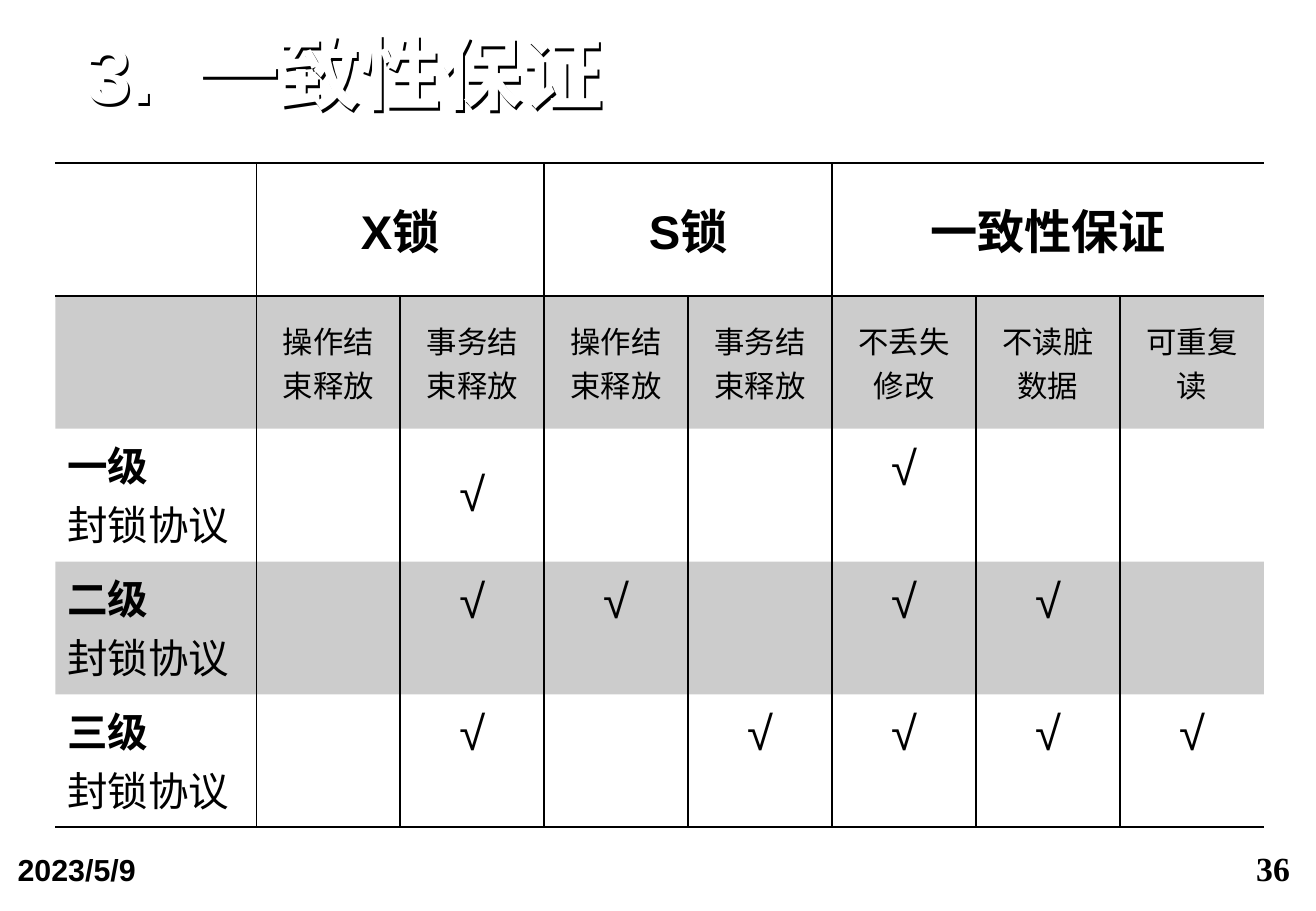
from lxml import etree
from pptx import Presentation
from pptx.dml.color import RGBColor
from pptx.enum.text import MSO_ANCHOR as ANCHOR, MSO_AUTO_SIZE as AUTO, PP_ALIGN as ALIGN
from pptx.oxml.ns import qn
from pptx.util import Pt

COLORS = {"ink": "000000", "title": "FFFFFF"}
ROW_HEIGHT = 78.77
COL_WIDTHS = [119.1] + [85.33] * 7
GROUPS = [("X锁", 1, 2), ("S锁", 3, 4), ("一致性保证", 5, 7)]
SUBHEADS = ["操作结束释放", "事务结束释放", "操作结束释放", "事务结束释放",
            "不丢失修改", "不读脏数据", "可重复读"]
LEVELS = [("一级", [2, 5]), ("二级", [2, 3, 5, 6]), ("三级", [2, 4, 5, 6, 7])]


def add_run(p, text, size=18, font="Arial", color="ink", bold=False):
    r = p.add_run()
    r.text = text
    r.font.size = Pt(size)
    r.font.name = font
    r.font.bold = bold
    r.font.color.rgb = RGBColor.from_string(COLORS[color])
    return r


def add_shadow(sp):
    sp.fill.background()
    sp.shadow.inherit = False
    effects = sp._element.spPr.find(qn("a:effectLst"))
    shadow = etree.SubElement(effects, qn("a:outerShdw"), dist=str(Pt(2)),
                              dir="2700000", algn="ctr", rotWithShape="0")
    etree.SubElement(shadow, qn("a:srgbClr"), val=COLORS["ink"])


def add_title(s):
    sp = s.shapes.title
    sp.left, sp.top, sp.width, sp.height = Pt(51.1), Pt(20.2), Pt(694.8), Pt(51.8)
    add_shadow(sp)
    tf = sp.text_frame
    tf.margin_left = tf.margin_right = tf.margin_top = tf.margin_bottom = 0
    tf.vertical_anchor = ANCHOR.BOTTOM
    tf.auto_size = AUTO.SHAPE_TO_FIT_TEXT
    p = tf.paragraphs[0]
    p.alignment = ALIGN.LEFT
    p.line_spacing = 0.9
    for text, spacing in [("3.", 0), (" ", 1300), ("一致性保证", 0)]:
        r = add_run(p, text, size=48, color="title", bold=True)
        r.font._element.set("spc", str(spacing))


def add_footer(s, text, left, top, width, height, align, **fmt):
    sp = s.shapes.add_textbox(Pt(left), Pt(top), Pt(width), Pt(height))
    tf = sp.text_frame
    tf.word_wrap = True
    tf.margin_left = tf.margin_right = Pt(9.4)
    tf.margin_top = tf.margin_bottom = Pt(4.3)
    p = tf.paragraphs[0]
    p.alignment = align
    add_run(p, text, bold=True, **fmt)


def write_cell(cell, text, anchor=ANCHOR.MIDDLE, **fmt):
    cell.vertical_anchor = anchor
    p = cell.text_frame.paragraphs[0]
    p.alignment = ALIGN.CENTER
    add_run(p, text, **fmt)


def style_cell(cell, shaded, edges):
    tc_pr = cell._tc.get_or_add_tcPr()
    for edge in ("L", "R", "T", "B"):
        ln = etree.SubElement(tc_pr, qn(f"a:ln{edge}"), w=str(Pt(1)))
        if edge in edges:
            fill = etree.SubElement(ln, qn("a:solidFill"))
            etree.SubElement(fill, qn("a:srgbClr"), val=COLORS["ink"])
        else:
            etree.SubElement(ln, qn("a:noFill"))
    if shaded:
        cell.fill.solid()
        cell.fill.fore_color.rgb = RGBColor.from_string(COLORS["ink"])
        color = tc_pr.find(f"{qn('a:solidFill')}/{qn('a:srgbClr')}")
        etree.SubElement(color, qn("a:alpha"), val="20000")
    else:
        cell.fill.background()


def cell_edges(row, col, last_row, last_col):
    last_start = GROUPS[-1][1] if row == 0 else last_col
    rules = {"L": 0 < col <= last_start, "R": col < last_start,
             "T": row < 2, "B": row in (0, last_row)}
    return [edge for edge, drawn in rules.items() if drawn]


def add_lock_table(s):
    rows, cols = 2 + len(LEVELS), len(COL_WIDTHS)
    frame = s.shapes.add_table(rows, cols, Pt(32.8), Pt(96.6),
                               Pt(sum(COL_WIDTHS)), Pt(ROW_HEIGHT * rows))
    table = frame.table
    table.first_row = table.horz_banding = False
    for column, width in zip(table.columns, COL_WIDTHS):
        column.width = Pt(width)
    for i, row in enumerate(table.rows):
        row.height = Pt(ROW_HEIGHT)
        for j, cell in enumerate(row.cells):
            style_cell(cell, i % 2 == 1, cell_edges(i, j, rows - 1, cols - 1))
    for text, first, last in GROUPS:
        table.cell(0, first).merge(table.cell(0, last))
        write_cell(table.cell(0, first), text, size=28, bold=True)
    for j, text in enumerate(SUBHEADS, 1):
        write_cell(table.cell(1, j), text)
    for i, (level, checks) in enumerate(LEVELS, 2):
        tf = table.cell(i, 0).text_frame
        add_run(tf.paragraphs[0], level, size=24, bold=True)
        add_run(tf.add_paragraph(), "封锁协议", size=24)
        for j in checks:
            cell = table.cell(i, j)
            centred = (i, j) == (2, 2)
            cell.margin_top = Pt(3.6 if centred else 8.2)
            write_cell(cell, "√", ANCHOR.MIDDLE if centred else ANCHOR.TOP, size=28)


def main():
    """Build the slide on lock protocols and the consistency they guarantee."""
    prs = Presentation()
    prs.slide_width, prs.slide_height = Pt(780), Pt(540)
    s = prs.slides.add_slide(prs.slide_layouts[5])
    add_title(s)
    add_lock_table(s)
    add_footer(s, "36", 576.7, 498.2, 197.3, 41.8, ALIGN.RIGHT,
               size=20, font="Times New Roman")
    add_footer(s, "2023/5/9", 1, 500, 180.7, 40, ALIGN.LEFT)
    prs.save("out.pptx")


if __name__ == "__main__":
    main()
